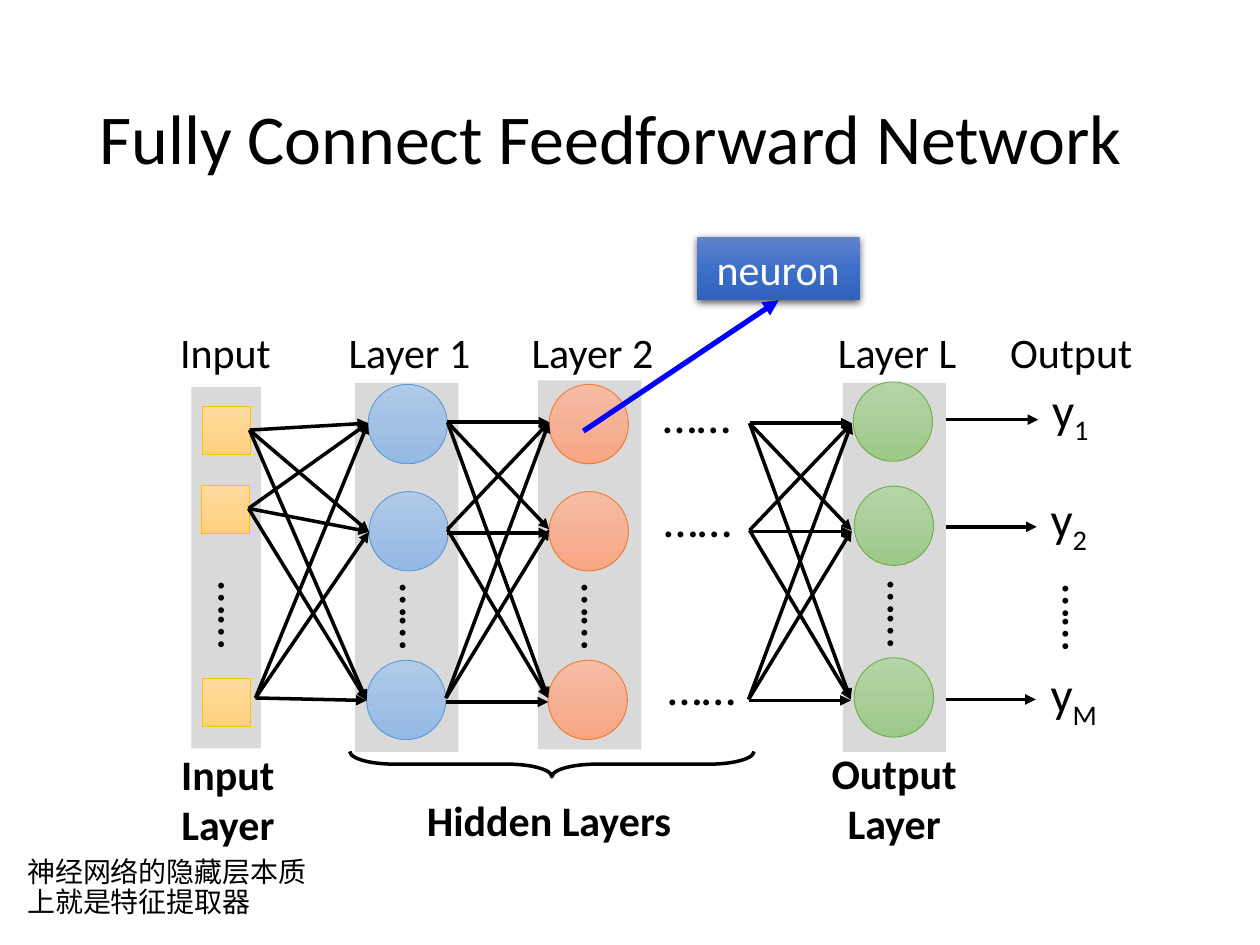
from copy import deepcopy
from dataclasses import dataclass

from lxml import etree
from pptx import Presentation
from pptx.dml.color import RGBColor
from pptx.enum.shapes import MSO_CONNECTOR, MSO_SHAPE
from pptx.enum.text import MSO_ANCHOR, PP_ALIGN
from pptx.oxml.ns import qn
from pptx.util import Cm, Pt

RECT, OVAL, BRACE = MSO_SHAPE.RECTANGLE, MSO_SHAPE.OVAL, MSO_SHAPE.RIGHT_BRACE
STRAIGHT = MSO_CONNECTOR.STRAIGHT
LEFT, CENTER = PP_ALIGN.LEFT, PP_ALIGN.CENTER
TOP, MIDDLE, BOTTOM = MSO_ANCHOR.TOP, MSO_ANCHOR.MIDDLE, MSO_ANCHOR.BOTTOM

BLACK = RGBColor(0x00, 0x00, 0x00)
WHITE = RGBColor(0xFF, 0xFF, 0xFF)
BAND_GREY = RGBColor(0xD9, 0xD9, 0xD9)
POINTER_BLUE = RGBColor(0x00, 0x00, 0xFF)
FONT = "Calibri"
DOTS = "……"
NODE, SQUARE = 1.6, 0.97
LABEL_TOP, LABEL_W, LINE_H = 6.45, 3.15, 1.27
DOTS_W, DOTS_H = 2.13, 1.45

Point = tuple[float, float]


@dataclass(frozen=True)
class Palette:
    stops: tuple[RGBColor, RGBColor, RGBColor]
    edge: RGBColor | None


def palette(first: str, middle: str, last: str, edge: str | None) -> Palette:
    stops = tuple(RGBColor.from_string(code) for code in (first, middle, last))
    return Palette(stops, RGBColor.from_string(edge) if edge else None)


GOLD = palette("FFDB9E", "FFD590", "FFD07C", "FFC000")
BLUE = palette("B1CBE9", "A3C1E5", "93B9E4", "5B9BD5")
ORANGE = palette("F7BDA5", "F5B196", "F8A582", "ED7D31")
GREEN = palette("B5D5A7", "AACE9A", "9CC987", "70AD47")
NEURON = palette("6183CB", "3E70CA", "3062BB", None)


@dataclass(frozen=True)
class Layer:
    label: str
    left: float
    top: float
    nodes: tuple[Point, ...]
    dots: Point
    colors: Palette


@dataclass(frozen=True)
class Bundle:
    """All arrows between two columns; level gives the shift of same-row arrows."""
    starts: tuple[Point, ...]
    ends: tuple[Point, ...]
    level: tuple[float, ...] = (0, 0, 0)


LAYERS = (
    Layer("Layer 1", 7.16, 7.72, ((7.42, 7.75), (7.44, 9.91), (7.39, 13.31)), (7.39, 11.71), BLUE),
    Layer("Layer 2", 10.85, 7.67, ((11.07, 7.75), (11.07, 9.91), (11.05, 13.31)), (11.05, 11.71), ORANGE),
    Layer("Layer L", 16.99, 7.72, ((17.2, 7.7), (17.22, 9.8), (17.22, 13.26)), (17.22, 11.66), GREEN),
)
INPUTS = ((4.09, 8.2), (4.06, 9.78), (4.09, 13.67))
BUNDLES = (
    Bundle(((9.02, 8.51), (9.02, 10.67), (8.99, 14.07)),
           ((11.07, 8.51), (11.07, 10.67), (11.05, 14.07)), (0, 0.07, 0.08)),
    Bundle(((5.03, 8.67), (5.01, 10.25), (5.15, 14.07)),
           ((7.42, 8.53), (7.44, 10.72), (7.39, 14.12))),
    Bundle(((15.11, 8.53), (15.11, 10.69), (15.09, 14.1)),
           ((17.17, 8.53), (17.17, 10.69), (17.15, 14.1)), (0, 0.03, 0.02)),
)
OUTPUT_ARROWS = ((18.01, 8.46, 20.93), (18.06, 10.62, 20.9), (18.36, 14.1, 20.88))
OUTPUTS = (("1", 20.96, 7.52), ("2", 20.93, 9.73), ("M", 20.93, 13.26))
GAPS = ((12.98, 7.62), (13, 9.73), (13.08, 13.11))


def write(frame, text: str, *, size: float = 24, color: RGBColor = BLACK, bold: bool = False,
          align=CENTER, anchor=TOP, spacing: float = 1.0, subscript: str = "") -> None:
    frame.word_wrap = True
    frame.vertical_anchor = anchor
    paragraph = frame.paragraphs[0]
    paragraph.alignment = align
    paragraph.line_spacing = spacing
    for part in filter(None, (text, subscript)):
        run = paragraph.add_run()
        run.text = part
        run.font.name, run.font.size, run.font.bold = FONT, Pt(size), bold
        run.font.color.rgb = color
    if subscript:
        run._r.get_or_add_rPr().set("baseline", "-25000")


def add_text(slide, text: str, left: float, top: float, width: float, height: float,
             *, rotation: float = 0, **style) -> None:
    box = slide.shapes.add_textbox(Cm(left), Cm(top), Cm(width), Cm(height))
    box.rotation = rotation
    write(box.text_frame, text, **style)


def add_dots(slide, left: float, top: float, rotation: float = 0) -> None:
    add_text(slide, DOTS, left, top, DOTS_W, DOTS_H, size=28, rotation=rotation)


def add_plain(slide, kind, left: float, top: float, width: float, height: float):
    """Add a preset shape with neither fill, line nor shadow."""
    shape = slide.shapes.add_shape(kind, Cm(left), Cm(top), Cm(width), Cm(height))
    shape.shadow.inherit = False
    shape.fill.background()
    shape.line.fill.background()
    return shape


def add_band(slide, left: float, top: float, width: float, height: float) -> None:
    band = add_plain(slide, RECT, left, top, width, height)
    band.fill.solid()
    band.fill.fore_color.rgb = BAND_GREY


def add_gradient(slide, kind, left: float, top: float, width: float, height: float, colors: Palette):
    shape = add_plain(slide, kind, left, top, width, height)
    shape.fill.gradient()
    shape.fill.gradient_angle = 270
    stop_list = shape._element.spPr.find(".//" + qn("a:gsLst"))
    stop_list.insert(1, deepcopy(stop_list[0]))
    for stop, color, position in zip(shape.fill.gradient_stops, colors.stops, (0, 0.5, 1)):
        stop.color.rgb, stop.position = color, position
    if colors.edge is not None:
        shape.line.color.rgb = colors.edge
        shape.line.width = Pt(0.5)
    return shape


def add_arrow(slide, start: Point, end: Point, color: RGBColor = BLACK, width: float = 2) -> None:
    arrow = slide.shapes.add_connector(STRAIGHT, *(Cm(value) for value in (*start, *end)))
    arrow.line.color.rgb = color
    arrow.line.width = Pt(width)
    etree.SubElement(arrow.line._get_or_add_ln(), qn("a:tailEnd"), type="triangle")
    etree.SubElement(arrow._element.spPr, qn("a:effectLst"))


def add_bundle(slide, bundle: Bundle) -> None:
    for row, (x1, y1) in enumerate(bundle.starts):
        for column, (x2, y2) in enumerate(bundle.ends):
            shift = bundle.level[row] if row == column else 0
            add_arrow(slide, (x1, y1 + shift), (x2, y2 + shift))


def add_layer(slide, layer: Layer) -> None:
    add_band(slide, layer.left, layer.top, 2.08, 7.44)
    add_text(slide, layer.label, layer.left - 0.48, LABEL_TOP, LABEL_W, LINE_H)
    for left, top in layer.nodes:
        add_gradient(slide, OVAL, left, top, NODE, NODE, layer.colors)
    add_dots(slide, *layer.dots, rotation=90)


def add_neuron_callout(slide) -> None:
    callout = add_gradient(slide, RECT, 14.05, 4.78, 3.28, LINE_H, NEURON)
    effects = callout._element.spPr.find(qn("a:effectLst"))
    shadow = etree.SubElement(effects, qn("a:outerShdw"), blurRad=str(Pt(4.5)), dist=str(Pt(1.5)),
                              dir="5400000", algn="ctr", rotWithShape="0")
    shade = etree.SubElement(shadow, qn("a:srgbClr"), val=str(BLACK))
    etree.SubElement(shade, qn("a:alpha"), val="63000")
    write(callout.text_frame, "neuron", color=WHITE)
    add_arrow(slide, (11.76, 8.69), (15.7, 6.05), POINTER_BLUE, 3)


def main() -> None:
    deck = Presentation()
    deck.slide_width, deck.slide_height = Cm(25.4), Cm(19.05)
    slide = deck.slides.add_slide(deck.slide_layouts[6])

    add_text(slide, "Fully Connect Feedforward Network", 1.75, 1.02, 21.89, 3.68,
             size=40, align=LEFT, anchor=MIDDLE, spacing=0.9)
    add_text(slide, "Output Layer", 16.41, 14.94, 3.23, 2.31, bold=True)
    add_text(slide, "Hidden Layers", 8.2, 15.9, 5.74, LINE_H, bold=True)
    add_text(slide, "Input Layer", 3.3, 14.96, 2.59, 2.31, bold=True)
    add_text(slide, "Input", 2.97, LABEL_TOP, LABEL_W, LINE_H)
    add_text(slide, "Output", 20.02, LABEL_TOP, LABEL_W, LINE_H)

    brace = add_plain(slide, BRACE, 10.87, 11.33, 0.51, 8.15)
    brace.rotation = 90
    brace.adjustments[0], brace.adjustments[1] = 1.76, 0.5
    brace.line.color.rgb = BLACK
    brace.line.width = Pt(2)

    for start, y, end in OUTPUT_ARROWS:
        add_arrow(slide, (start, y), (end, y))
    add_band(slide, 3.86, 7.8, 1.4, 7.29)
    for left, top in INPUTS:
        add_gradient(slide, RECT, left, top, SQUARE, SQUARE, GOLD)
    add_dots(slide, 3.73, 11.68, rotation=90)
    for layer in LAYERS:
        add_layer(slide, layer)
    for left, top in GAPS:
        add_dots(slide, left, top)
    for bundle in BUNDLES:
        add_bundle(slide, bundle)
    add_dots(slide, 20.75, 11.73, rotation=90)
    for index, left, top in OUTPUTS:
        add_text(slide, "y", left, top, 1.75, DOTS_H, size=28, align=LEFT, subscript=index)
    add_neuron_callout(slide)
    add_text(slide, "神经网络的隐藏层本质上就是特征提取器", 0.3, 17.17, 6.45, 1.47,
             size=16, align=LEFT, anchor=BOTTOM, spacing=0.9)
    deck.save("out.pptx")


if __name__ == "__main__":
    main()
